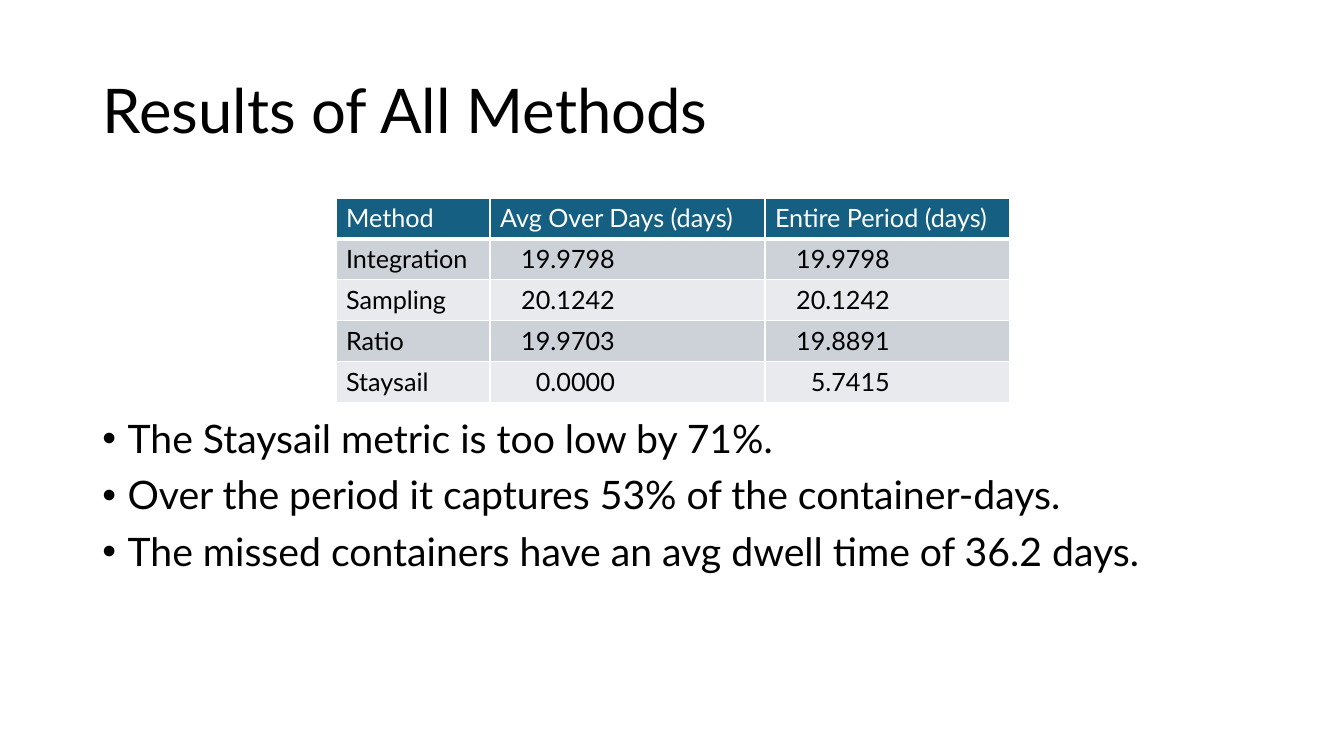
from dataclasses import dataclass

from lxml import etree
from pptx import Presentation
from pptx.dml.color import RGBColor
from pptx.enum import text as t
from pptx.oxml import ns
from pptx.util import Pt


@dataclass(frozen=True)
class Theme:
    font: str = "Lato"
    ink: str = "000000"
    paper: str = "FFFFFF"
    header: str = "156082"
    bands: tuple = ("CCD2D8", "E8EAED")
    title_size: int = 44
    list_size: int = 28
    table_size: int = 18
    rule: int = 1
    header_rule: int = 3


THEME = Theme()

HEADINGS = ("Method", "Avg Over Days (days)", "Entire Period (days)")
RESULTS = (
    ("Integration", 19.9798, 19.9798),
    ("Sampling", 20.1242, 20.1242),
    ("Ratio", 19.9703, 19.8891),
    ("Staysail", 0, 5.7415),
)
FINDINGS = (
    "The Staysail metric is too low by 71%.",
    "Over the period it captures 53% of the container-days.",
    "The missed containers have an avg dwell time of 36.2 days.",
)
COLUMN_WIDTHS = (110, 196.4, 174.8)
ROW_HEIGHT = 29.2


def add_run(paragraph, words, size, color):
    run = paragraph.add_run()
    run.text = words
    run.font.name = THEME.font
    run.font.size = Pt(size)
    run.font.bold = False
    run.font.color.rgb = RGBColor.from_string(color)


def add_xml(parent, tag, **attributes):
    return etree.SubElement(parent, ns.qn(tag), attributes)


def place(placeholder, left, top, width, height):
    placeholder.left, placeholder.top = Pt(left), Pt(top)
    placeholder.width, placeholder.height = Pt(width), Pt(height)


def fill_title(title, words):
    place(title, 66, 28.75, 828, 104.4)
    title.text_frame.vertical_anchor = t.MSO_ANCHOR.MIDDLE
    heading = title.text_frame.paragraphs[0]
    heading.alignment = t.PP_ALIGN.LEFT
    heading.line_spacing = 0.9
    add_run(heading, words, THEME.title_size, THEME.ink)


def fill_list(body, findings):
    place(body, 66, 296, 828, 190.8)
    frame = body.text_frame
    for number, finding in enumerate(findings):
        item = frame.add_paragraph() if number else frame.paragraphs[0]
        item.line_spacing = 0.9
        item.space_before = Pt(10)
        properties = item._p.get_or_add_pPr()
        properties.set("marL", str(Pt(18)))
        properties.set("indent", str(Pt(-18)))
        add_xml(properties, "a:buFont", typeface="Arial")
        add_xml(properties, "a:buChar", char="•")
        add_run(item, finding, THEME.list_size, THEME.ink)


def style_cell(cell, fill, bottom_rule):
    # Borders come before the fill in the cell properties
    properties = cell._tc.get_or_add_tcPr()
    for side in "LRTB":
        width = bottom_rule if side == "B" else THEME.rule
        line = add_xml(properties, f"a:ln{side}", w=str(Pt(width)))
        add_xml(add_xml(line, "a:solidFill"), "a:srgbClr", val=THEME.paper)
    cell.fill.solid()
    cell.fill.fore_color.rgb = RGBColor.from_string(fill)


def fill_cell(cell, value, color):
    paragraph = cell.text_frame.paragraphs[0]
    if isinstance(value, str):
        words = value
    else:
        # Figures line up on a decimal tab
        words = f"\t{value:.4f}"
        tabs = add_xml(paragraph._p.get_or_add_pPr(), "a:tabLst")
        add_xml(tabs, "a:tab", pos=str(Pt(36)), algn="dec")
    add_run(paragraph, words, THEME.table_size, color)


def add_results(slide, headings, results):
    rows = (headings, *results)
    table = slide.shapes.add_table(
        len(rows), len(headings), Pt(240), Pt(141.4),
        Pt(sum(COLUMN_WIDTHS)), Pt(ROW_HEIGHT * len(rows))).table
    for column, width in zip(table.columns, COLUMN_WIDTHS):
        column.width = Pt(width)
    for r, values in enumerate(rows):
        table.rows[r].height = Pt(ROW_HEIGHT)
        is_header = r == 0
        fill = THEME.header if is_header else THEME.bands[(r - 1) % 2]
        color = THEME.paper if is_header else THEME.ink
        rule = THEME.header_rule if is_header else THEME.rule
        for c, value in enumerate(values):
            style_cell(table.cell(r, c), fill, rule)
            fill_cell(table.cell(r, c), value, color)


def main():
    deck = Presentation()
    deck.slide_width, deck.slide_height = Pt(960), Pt(540)
    slide = deck.slides.add_slide(deck.slide_layouts[1])

    # Title, results table, findings
    fill_title(slide.shapes.title, "Results of All Methods")
    add_results(slide, HEADINGS, RESULTS)
    fill_list(slide.placeholders[1], FINDINGS)

    deck.save("out.pptx")


if __name__ == "__main__":
    main()
